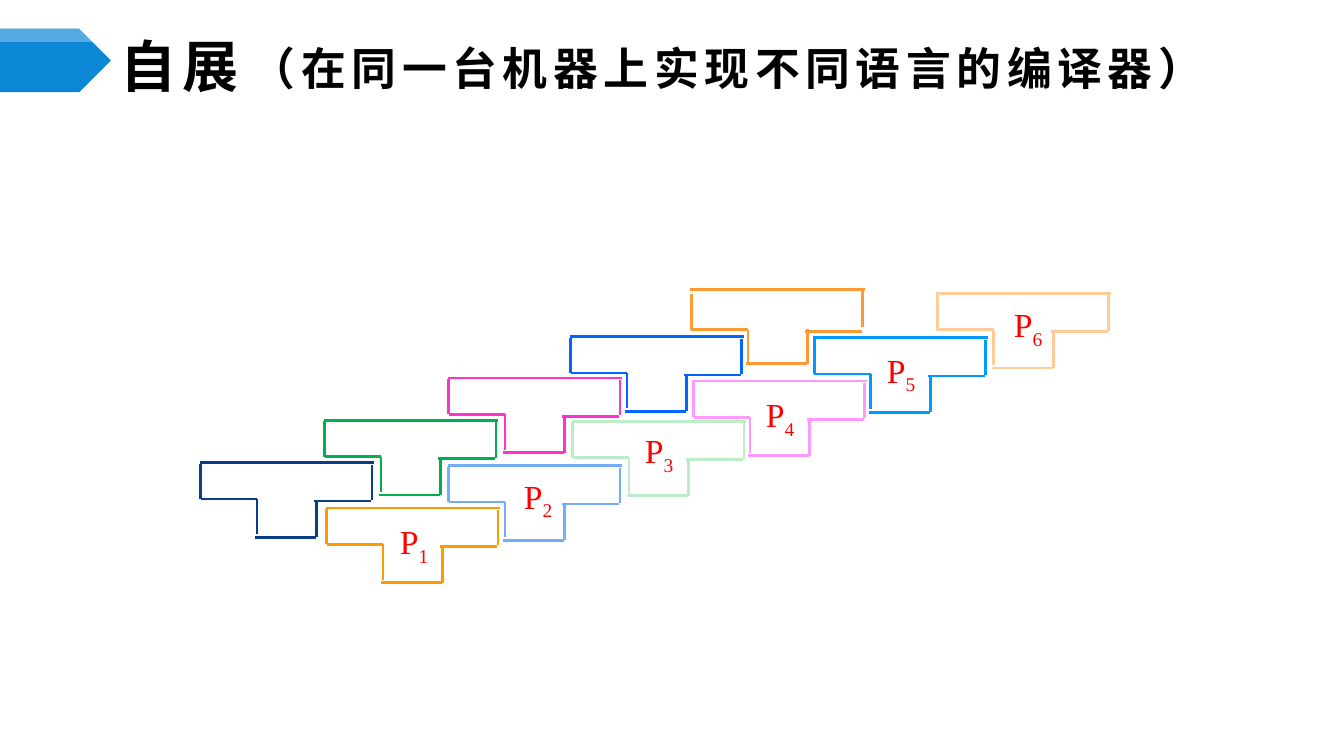
"""Builds the bootstrapping slide: two staircases of T-diagrams for compilers on one machine."""
from typing import NamedTuple, Optional

from lxml import etree
from pptx import Presentation
from pptx import util as u
from pptx.dml.color import RGBColor
from pptx.enum import shapes, text
from pptx.oxml import ns

CELL = u.Inches(0.1)
COLUMNS, ROWS = 133.33, 75
HAN, LATIN = "Noto Sans CJK SC", "Times New Roman"

COLORS = {
    "ink": "000000", "label": "FF0000", "marker": "0B87D6", "gloss": "FFFFFF",
    "navy": "073E87", "green": "00B050", "magenta": "FF33CC", "blue": "0066FF",
    "orange": "FF9933", "amber": "FF9900", "sky": "73ACF8", "mint": "BDECC9",
    "pink": "FF99FF", "azure": "0099FF", "peach": "FFCC99",
}


class Stroke(NamedTuple):
    x1: float
    y1: float
    x2: float
    y2: float
    sags: bool = False


class Diagram(NamedTuple):
    color: str
    column: float
    row: float
    sag: float = 0
    label_at: Optional[tuple[float, float]] = None


T_STROKES = [
    Stroke(0, 0, 17.3, 0),
    Stroke(0.1, 0.1, 0.1, 3.6, True),
    Stroke(0.1, 3.6, 5.7, 3.6, True),
    Stroke(5.7, 3.6, 5.7, 7.1, True),
    Stroke(5.5, 7.4, 11.6, 7.4),
    Stroke(11.6, 3.9, 11.6, 7.4),
    Stroke(11.4, 3.8, 17, 3.8, True),
    Stroke(17.1, 0.2, 17.1, 3.7),
]

COMPILERS = [
    Diagram("navy", 19.8, 45.9),
    Diagram("green", 32.1, 41.7),
    Diagram("magenta", 44.4, 37.5),
    Diagram("blue", 56.5, 33.4),
    Diagram("orange", 68.5, 28.7, sag=0.4),
]

PROGRAMS = [
    Diagram("amber", 32.3, 50.4, label_at=(38.7, 51.2)),
    Diagram("sky", 44.4, 46.2, label_at=(51, 46.7)),
    Diagram("mint", 56.7, 41.8, label_at=(63, 42.2)),
    Diagram("pink", 68.7, 37.8, label_at=(75, 38.6)),
    Diagram("azure", 80.7, 33.5, label_at=(87, 34.2)),
    Diagram("peach", 92.9, 29.1, label_at=(99.6, 29.7)),
]


def cells(count: float) -> int:
    return round(count * CELL)


def paint(shape, color: str, opacity: int = 100) -> None:
    shape.shadow.inherit = False
    shape.fill.solid()
    shape.fill.fore_color.rgb = RGBColor.from_string(COLORS[color])
    shape.line.fill.background()
    if opacity < 100:
        tint = shape.fill._xPr.find(".//" + ns.qn("a:srgbClr"))
        etree.SubElement(tint, ns.qn("a:alpha"), val=str(opacity * 1000))


def write(paragraph, words: str, *, size: float, font: str, color: str,
          bold: bool = False, spacing: float = 0, baseline: int = 0) -> None:
    run = paragraph.add_run()
    run.text = words
    run.font.size, run.font.name, run.font.bold = u.Pt(size), font, bold
    run.font.color.rgb = RGBColor.from_string(COLORS[color])
    properties = run.font._element
    etree.SubElement(properties, ns.qn("a:ea"), typeface=font)
    if spacing:
        properties.set("spc", str(round(spacing * 100)))
    if baseline:
        properties.set("baseline", str(baseline * 1000))


def draw_marker(slide) -> None:
    pentagon = slide.shapes.add_shape(
        shapes.MSO_SHAPE.PENTAGON, 0, cells(2.85), cells(11), cells(6.3))
    paint(pentagon, "marker")
    outline = slide.shapes.build_freeform(0, cells(2.85), 1)
    outline.add_line_segments(
        [(cells(7.9), cells(2.85)), (cells(9.2), cells(4.15)), (0, cells(4.15))])
    paint(outline.convert_to_shape(), "gloss", opacity=30)


def draw_heading(slide) -> None:
    heading = slide.shapes.title
    heading.left, heading.top = cells(11), cells(3.9)
    heading.width, heading.height = cells(115.6), cells(5.2)
    heading.text_frame.vertical_anchor = text.MSO_ANCHOR.MIDDLE
    paragraph = heading.text_frame.paragraphs[0]
    paragraph.alignment = text.PP_ALIGN.LEFT
    style = dict(font=HAN, color="ink", bold=True, spacing=4)
    write(paragraph, "自展", size=40, **style)

    remark = slide.shapes.add_textbox(cells(23.9), cells(3.5), cells(112.1), cells(6.4))
    remark.text_frame.word_wrap = True
    write(remark.text_frame.paragraphs[0], "（在同一台机器上实现不同语言的编译器）", size=32, **style)


def draw_diagram(slide, diagram: Diagram) -> None:
    for stroke in T_STROKES:
        top = diagram.row + (diagram.sag if stroke.sags else 0)
        edge = slide.shapes.add_connector(
            shapes.MSO_CONNECTOR.STRAIGHT,
            cells(diagram.column + stroke.x1), cells(top + stroke.y1),
            cells(diagram.column + stroke.x2), cells(top + stroke.y2))
        edge.line.color.rgb = RGBColor.from_string(COLORS[diagram.color])
        edge.line.width = u.Pt(2)
        etree.SubElement(edge._element.spPr, ns.qn("a:effectLst"))


def draw_label(slide, diagram: Diagram, number: int) -> None:
    column, row = diagram.label_at
    label = slide.shapes.add_textbox(cells(column), cells(row), cells(5), cells(5))
    label.text_frame.word_wrap = False
    paragraph = label.text_frame.paragraphs[0]
    style = dict(size=24, font=LATIN, color="label")
    write(paragraph, "P", **style)
    write(paragraph, str(number), baseline=-25, **style)


def main() -> None:
    deck = Presentation()
    deck.slide_width, deck.slide_height = cells(COLUMNS), cells(ROWS)
    slide = deck.slides.add_slide(deck.slide_layouts[5])
    draw_marker(slide)
    draw_heading(slide)
    for diagram in COMPILERS + PROGRAMS:
        draw_diagram(slide, diagram)
    for number, diagram in enumerate(PROGRAMS, start=1):
        draw_label(slide, diagram, number)
    deck.save("out.pptx")


if __name__ == "__main__":
    main()
